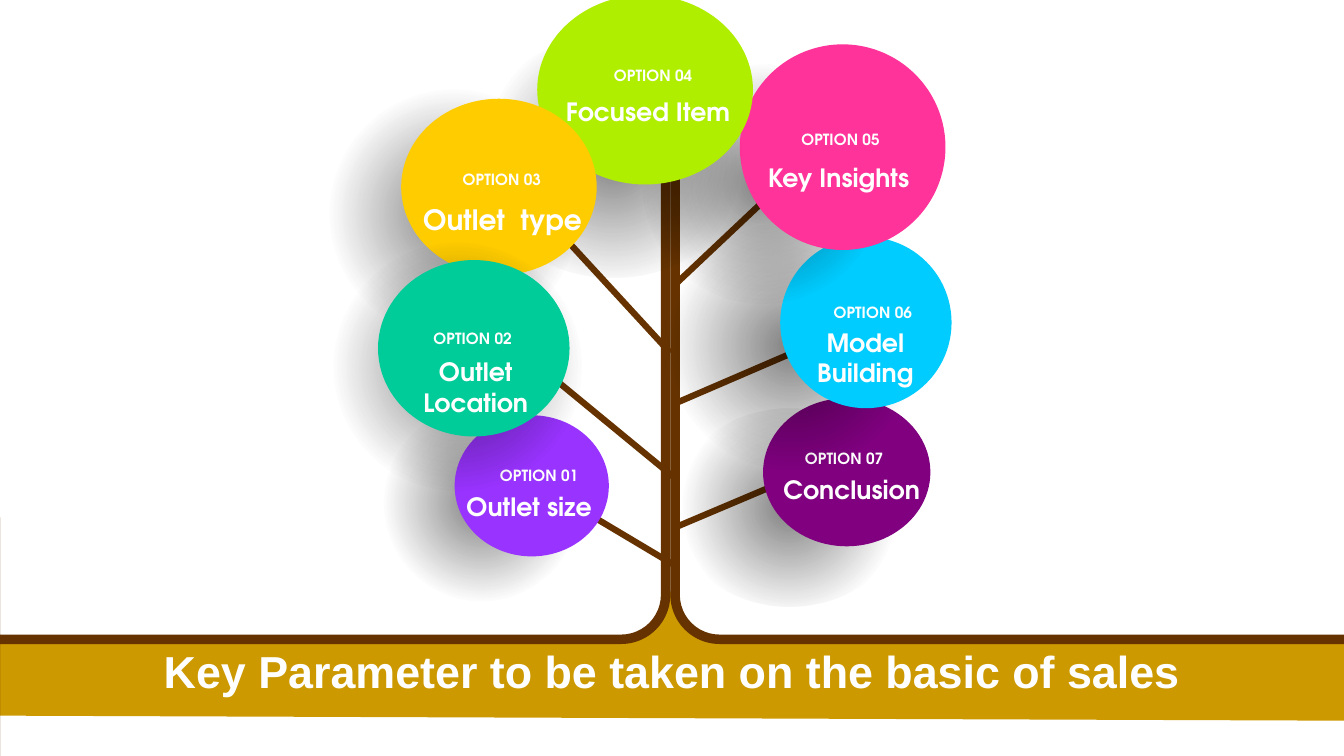
from dataclasses import dataclass
from typing import NamedTuple

from pptx import Presentation, util as u
from pptx.dml.color import RGBColor
from pptx.enum import shapes as sh, text as tx
from pptx.oxml import parse_xml
from pptx.oxml.ns import nsdecls, qn

COLS, ROWS = 160, 90


@dataclass(frozen=True)
class Theme:
    soil: str = "CC9900"
    bark: str = "663300"
    shade: str = "000000"
    ink: str = "FFFFFF"
    title: int = 32
    tag: int = 11
    name: int = 18
    large: int = 20
    twig: float = 4.5
    head: str = "Arial"
    body: str = "TeX Gyre Adventor"


class Box(NamedTuple):
    col: float
    row: float
    wide: float
    high: float


class Twig(NamedTuple):
    col: float
    row: float
    tip: float
    top: float


@dataclass(frozen=True)
class Leaf:
    num: int
    name: str
    color: str
    disc: Box
    shade: Box
    tag: Box
    label: Box
    size: int


look = Theme()
TAG, ONE, TWO = 3.48, 4.8, 8.52

GROUND = [(-0.24, 75.96), (74.52, 76.32), (78.12, 74.4), (79.56, 69.84), (81.72, 74.4),
          (85.92, 76.32), (135.48, 76.08), (160.44, 76.08), (160.2, 85.8), (-0.36, 85.2)]

TRUNK = [(Box(0, 15.48, 79.8, 75.12), False), (Box(79.8, 15.48, 80.2, 75.12), True)]
BEND = (0.015, 0.193, 0, 0.078)

TWIGS = [
    Twig(79.8, 42, 64.56, 25.44),
    Twig(80.16, 34.08, 93, 21.96),
    Twig(80.16, 56.76, 64.56, 43.92),
    Twig(80.16, 48.12, 96.6, 41.04),
    Twig(80.16, 67.2, 68.88, 60.48),
    Twig(80.16, 62.88, 92.64, 57.6),
]

LEAVES = [
    Leaf(1, "Outlet size", "9933FF", Box(54.12, 49.44, 18.36, 16.8),
         Box(45.48, 48.12, 23.64, 23.64), Box(57.12, 54.84, 14.16, TAG),
         Box(54, 57.96, 18, ONE), look.name),
    Leaf(7, "Conclusion", "800080", Box(90.84, 47.4, 19.92, 17.64),
         Box(80.04, 48.6, 27.84, 23.64), Box(92.16, 52.92, 16.68, TAG),
         Box(91.92, 55.92, 18.96, ONE), look.name),
    Leaf(6, "Model Building", "00CCFF", Box(92.88, 28.2, 20.4, 20.4),
         Box(79.2, 26.16, 30, 30), Box(96.84, 35.52, 14.16, TAG),
         Box(91.92, 38.4, 22.2, TWO), look.name),
    Leaf(5, "Key Insights", "FF3399", Box(88.08, 5.28, 24.48, 24.48),
         Box(76.32, 7.44, 28.92, 28.92), Box(93, 14.88, 14.16, TAG),
         Box(90.12, 18.72, 19.44, ONE), look.name),
    Leaf(4, "Focused Item", "B0EE00", Box(63.96, -0.6, 25.68, 22.56),
         Box(56.52, 4.08, 32.88, 28.92), Box(69.72, 7.32, 16.08, TAG),
         Box(61.56, 10.92, 31.2, ONE), look.name),
    Leaf(3, "Outlet  type", "FFCC00", Box(47.76, 11.76, 23.28, 21),
         Box(39, 10.44, 30, 30), Box(52.68, 19.68, 14.16, TAG),
         Box(47.76, 23.52, 24.12, 5.28), look.large),
    Leaf(2, "Outlet Location", "00CC99", Box(45, 30.96, 22.8, 21),
         Box(39.48, 28.68, 30, 30), Box(49.2, 38.64, 14.16, TAG),
         Box(45.48, 41.88, 22.32, TWO), look.name),
]

deck = Presentation()
deck.slide_width, deck.slide_height = u.Inches(13.33), u.Inches(7.5)
slide = deck.slides.add_slide(deck.slide_layouts[6])
COL, ROW = deck.slide_width / COLS, deck.slide_height / ROWS


def place(box: Box) -> tuple[int, int, int, int]:
    return (round(box.col * COL), round(box.row * ROW),
            round(box.wide * COL), round(box.high * ROW))


def paint(shape, color: str) -> None:
    shape.shadow.inherit = False
    shape.fill.solid()
    shape.fill.fore_color.rgb = RGBColor.from_string(color)
    shape.line.fill.background()


def draw(kind: sh.MSO_SHAPE, box: Box, color: str):
    shape = slide.shapes.add_shape(kind, *place(box))
    paint(shape, color)
    return shape


def write(frame, words: str, face: str, size: int) -> None:
    frame.word_wrap = True
    para = frame.paragraphs[0]
    para.text = words
    para.alignment = tx.PP_ALIGN.CENTER
    para.font.name, para.font.size, para.font.bold = face, u.Pt(size), True
    para.font.color.rgb = RGBColor.from_string(look.ink)


def label(words: str, box: Box, size: int) -> None:
    frame = slide.shapes.add_textbox(*place(box)).text_frame
    write(frame, words, look.body, size)
    frame.auto_size = tx.MSO_AUTO_SIZE.SHAPE_TO_FIT_TEXT


def shadow(box: Box) -> None:
    shape = draw(sh.MSO_SHAPE.OVAL, box, look.shade)
    stops = "".join(
        f'<a:gs pos="{pos}000"><a:srgbClr val="{look.shade}">'
        f'<a:alpha val="{alpha}000"/></a:srgbClr></a:gs>'
        for pos, alpha in ((0, 50), (70, 0), (100, 0)))
    fade = parse_xml(
        f'<a:gradFill {nsdecls("a")} rotWithShape="1"><a:gsLst>{stops}</a:gsLst>'
        '<a:path path="circle"><a:fillToRect l="50000" t="50000" r="50000" b="50000"/>'
        '</a:path></a:gradFill>')
    props = shape._element.spPr
    props.replace(props.find(qn("a:solidFill")), fade)


def ground() -> None:
    points = [(x * COL, y * ROW) for x, y in GROUND]
    pen = slide.shapes.build_freeform(*points[0])
    pen.add_line_segments(points[1:], close=True)
    soil = pen.convert_to_shape()
    paint(soil, look.soil)
    frame = soil.text_frame
    frame.vertical_anchor = tx.MSO_ANCHOR.MIDDLE
    frame.margin_top, frame.margin_bottom = u.Inches(0.38), u.Inches(0.05)
    write(frame, "Key Parameter to be taken on the basic of sales", look.head, look.title)


def trunk(box: Box, flip: bool) -> None:
    half = draw(sh.MSO_SHAPE.BENT_ARROW, box, look.bark)
    for i, share in enumerate(BEND):
        half.adjustments[i] = share
    half.rotation = 180
    if flip:
        half._element.spPr.xfrm.set("flipH", "1")


def branch(twig: Twig) -> None:
    line = slide.shapes.add_connector(
        sh.MSO_CONNECTOR.STRAIGHT, round(twig.col * COL), round(twig.row * ROW),
        round(twig.tip * COL), round(twig.top * ROW))
    line.line.color.rgb = RGBColor.from_string(look.bark)
    line.line.width = u.Pt(look.twig)
    line._element.spPr.append(parse_xml(f'<a:effectLst {nsdecls("a")}/>'))


def grow(leaf: Leaf) -> None:
    shadow(leaf.shade)
    draw(sh.MSO_SHAPE.OVAL, leaf.disc, leaf.color)
    label(f"OPTION {leaf.num:02}", leaf.tag, look.tag)
    label(leaf.name, leaf.label, leaf.size)


def main() -> None:
    ground()
    for box, flip in TRUNK:
        trunk(box, flip)
    for twig in TWIGS:
        branch(twig)
    for leaf in LEAVES:
        grow(leaf)
    deck.save("out.pptx")


if __name__ == "__main__":
    main()
